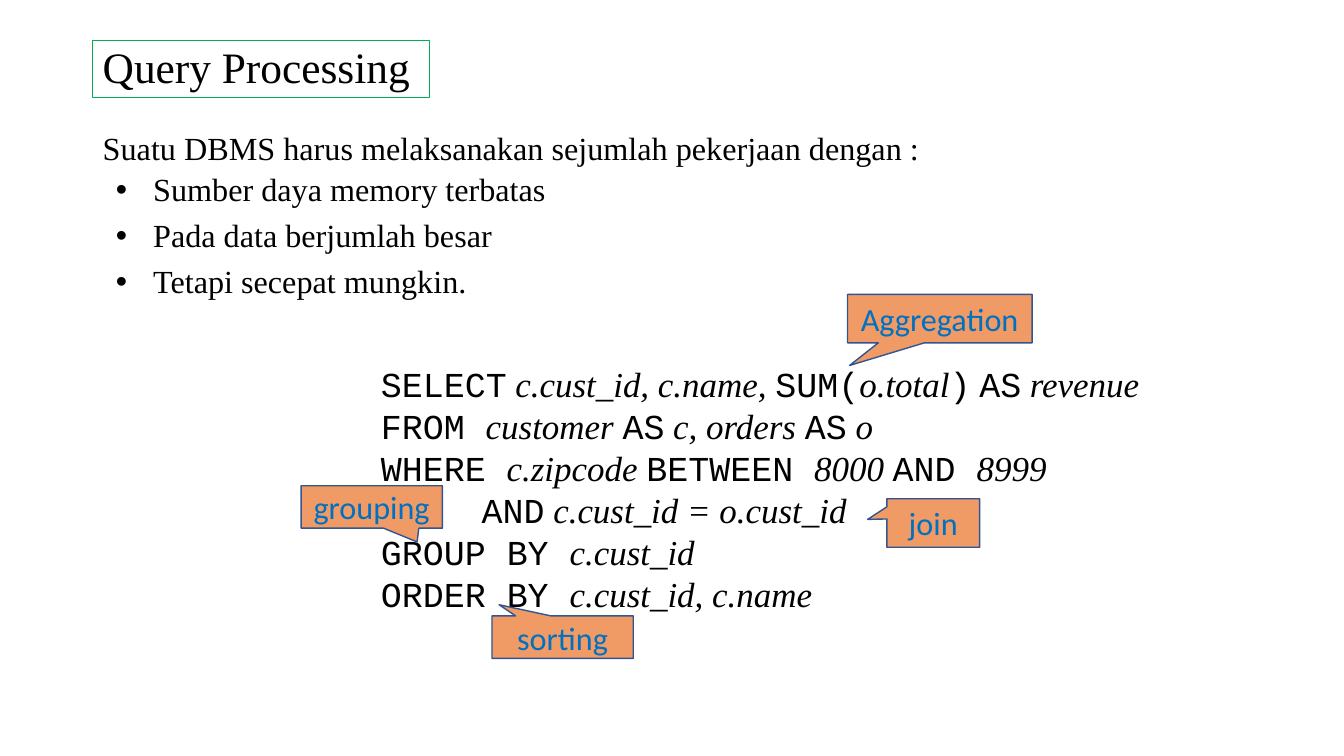
from lxml import etree
from pptx import Presentation
from pptx.dml.color import RGBColor
from pptx.enum.shapes import MSO_SHAPE
from pptx.enum.text import MSO_ANCHOR, PP_ALIGN
from pptx.oxml.ns import qn
from pptx.util import Cm, Pt

BLACK = RGBColor(0, 0, 0)
BLUE = RGBColor(0x00, 0x70, 0xC0)
NAVY = RGBColor(0x32, 0x54, 0x91)
GREEN = RGBColor(0x00, 0xB0, 0x50)
PEACH = RGBColor(0xF0, 0x9B, 0x66)
CALLOUT = MSO_SHAPE.RECTANGULAR_CALLOUT
MIDDLE, TOP = MSO_ANCHOR.MIDDLE, MSO_ANCHOR.TOP
CENTER = PP_ALIGN.CENTER
SERIF, MONO = "Times New Roman", "Courier New"

TITLE = "Query Processing"
INTRO = "Suatu DBMS harus melaksanakan sejumlah pekerjaan dengan :"
POINTS = [
    "Sumber daya memory terbatas",
    "Pada data berjumlah besar",
    "Tetapi secepat mungkin.",
]
QUERY = [
    "SELECT| c.cust_id, c.name, |SUM(|o.total|)| |AS| revenue",
    "FROM |customer |AS| c, orders |AS| o",
    "WHERE |c.zipcode |BETWEEN |8000 |AND |8999",
    "\tAND| c.cust_id = o.cust_id",
    "GROUP BY |c.cust_id",
    "ORDER BY |c.cust_id, c.name",
]
NOTES = [
    ("Aggregation", (21.36, 7.42, 4.65, 1.22), (-0.489, 0.968)),
    ("sorting", (12.4, 15.52, 3.56, 1.07), (-0.45, -0.763)),
    ("join", (22.35, 12.57, 2.34, 1.22), (-0.707, -0.074)),
    ("grouping", (7.59, 12.24, 3.56, 1.07), (0.321, 0.824)),
]

PLAIN = dict(name=SERIF, size=Pt(23))
HEAD = dict(name=SERIF, size=Pt(31))
CODE = dict(name=MONO, size=Pt(25), italic=False)
TERM = dict(name=SERIF, size=Pt(25), italic=True)
LABEL = dict(name="Calibri", size=Pt(23))


def put(item, form):
    for key, val in form.items():
        setattr(item, key, val)


def write(para, text, form, color=BLACK):
    run = para.add_run()
    run.text = text
    put(run.font, form)
    run.font.color.rgb = color


def add_box(slide, spot, anchor=TOP):
    box = slide.shapes.add_textbox(*map(Cm, spot))
    put(box.text_frame, dict(word_wrap=True, vertical_anchor=anchor))
    return box


def add_para(frame, first):
    return frame.paragraphs[0] if first else frame.add_paragraph()


def add_tab(para, place):
    tabs = etree.SubElement(para._p.get_or_add_pPr(), qn("a:tabLst"))
    tab = etree.SubElement(tabs, qn("a:tab"))
    tab.set("pos", str(place))
    tab.set("algn", "l")


def add_query(slide):
    frame = add_box(slide, (9.35, 9.02, 22.56, 6.68)).text_frame
    for row, line in enumerate(QUERY):
        para = add_para(frame, row == 0)
        if line.startswith("\t"):
            add_tab(para, Cm(2.54))
        for col, part in enumerate(line.split("|")):
            write(para, part, TERM if col % 2 else CODE)


def add_note(slide, text, spot, tip):
    note = slide.shapes.add_shape(CALLOUT, *map(Cm, spot))
    note.shadow.inherit = False
    for num, val in enumerate(tip):
        note.adjustments[num] = val
    note.fill.solid()
    note.fill.fore_color.rgb = PEACH
    note.line.color.rgb = NAVY
    note.line.width = Pt(1)
    frame = note.text_frame
    edges = ("left", "top", "right", "bottom")
    put(frame, {f"margin_{edge}": Cm(0.05) for edge in edges})
    put(frame, dict(vertical_anchor=MIDDLE, word_wrap=True))
    para = frame.paragraphs[0]
    para.alignment = CENTER
    write(para, text, LABEL, BLUE)


def add_body(slide):
    frame = add_box(slide, (2.34, 3.23, 21.51, 5.64)).text_frame
    for row, text in enumerate([INTRO] + POINTS):
        para = add_para(frame, row == 0)
        para.line_spacing = 0.9
        if row:
            put(para, dict(space_before=Pt(4), space_after=Pt(4)))
            props = para._p.get_or_add_pPr()
            props.set("marL", str(Cm(1.27)))
            props.set("indent", str(Cm(-0.94)))
            etree.SubElement(props, qn("a:buFont")).set("typeface", "Arial")
            etree.SubElement(props, qn("a:buChar")).set("char", "•")
        write(para, text, PLAIN)


def add_title(slide):
    box = add_box(slide, (2.34, 1.02, 8.48, 1.45), MIDDLE)
    box.line.color.rgb = GREEN
    box.line.width = Pt(0.75)
    para = box.text_frame.paragraphs[0]
    para.line_spacing = 0.9
    write(para, TITLE, HEAD)


def main():
    deck = Presentation()
    put(deck, dict(slide_width=Cm(33.87), slide_height=Cm(19.05)))
    slide = deck.slides.add_slide(deck.slide_layouts[6])
    add_query(slide)
    for note in NOTES:
        add_note(slide, *note)
    add_body(slide)
    add_title(slide)
    deck.save("out.pptx")


if __name__ == "__main__":
    main()
